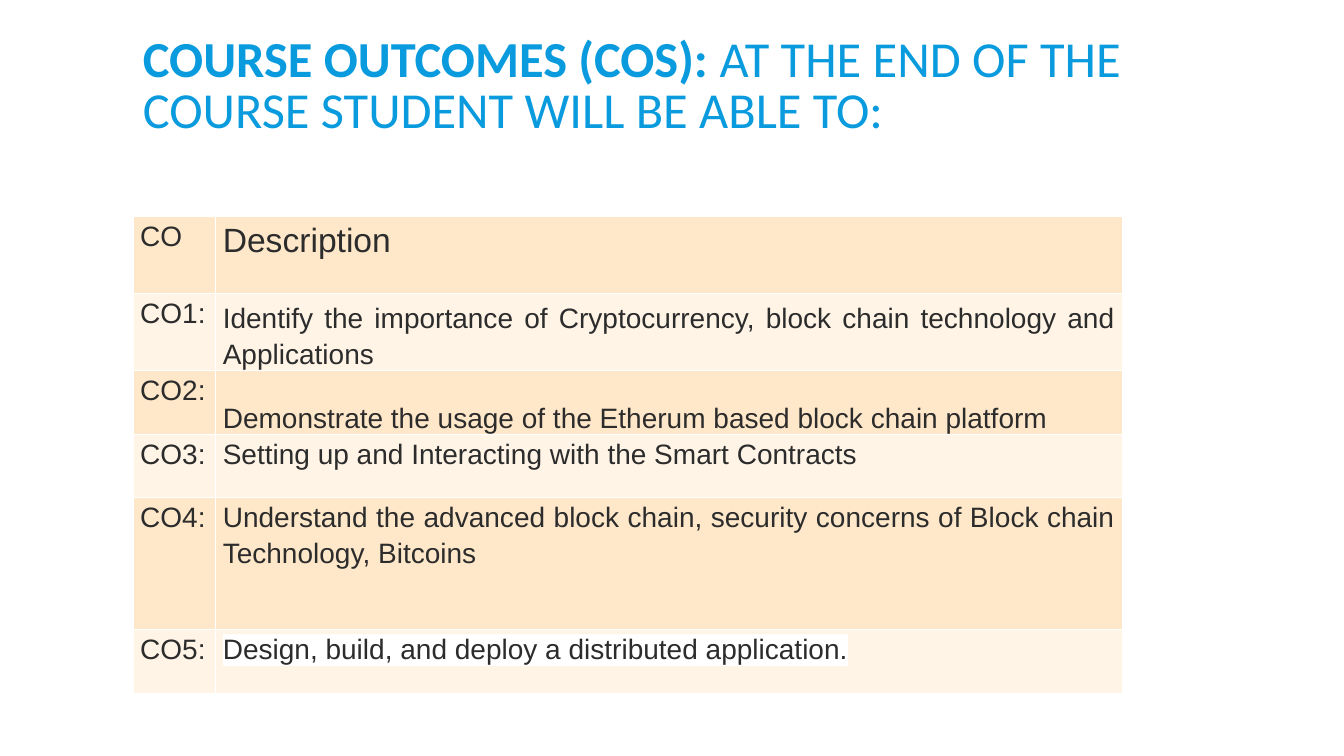
from dataclasses import dataclass

from lxml import etree
from pptx import Presentation
from pptx.dml.color import RGBColor
from pptx.enum.text import MSO_ANCHOR, PP_ALIGN
from pptx.oxml.ns import qn
from pptx.util import Inches, Pt

TOP, BOTTOM = MSO_ANCHOR.TOP, MSO_ANCHOR.BOTTOM
LEFT, JUSTIFY = PP_ALIGN.LEFT, PP_ALIGN.JUSTIFY

TITLE = [
    ("COURSE OUTCOMES (COS): ", True),
    ("AT THE END OF THE COURSE STUDENT WILL BE ABLE TO:", False),
]
HEADER = ("CO", "Description")
OUTCOMES = [
    ("Identify the importance of Cryptocurrency, block chain technology and Applications", BOTTOM),
    ("Demonstrate the usage of the Etherum based block chain platform", BOTTOM),
    ("Setting up and Interacting with the Smart Contracts", TOP),
    ("Understand the advanced block chain, security concerns of Block chain Technology, Bitcoins", TOP),
    ("Design, build, and deploy a distributed application.", TOP),
]
HIGHLIGHTED = len(OUTCOMES)
SLIDE_SIZE = (13.33, 7.5)
MARGIN = 1.32
TITLE_TOP, TITLE_WIDTH, TITLE_HEIGHT = 0.31, 10.7, 1.65
TABLE_TOP = 2.15
COLUMNS = (0.82, 8.99)
ROWS = (0.76, 0.63, 0.63, 0.63, 1.31, 0.63)
CELL_INSET = 0.07


@dataclass(frozen=True)
class Theme:
    title_font: str = "Calibri"
    body_font: str = "Arial"
    title_color: str = "099BDD"
    text_color: str = "2C2C2C"
    white: str = "FFFFFF"
    bands: tuple = ("FFE8CA", "FFF4E6")
    title_size: int = 36
    header_size: int = 24
    body_size: int = 20
    border: int = 1


THEME = Theme()


def style(font, name, size, color):
    font.name = name
    font.size = Pt(size)
    font.color.rgb = RGBColor.from_string(color)


def add_color(parent, tag, color):
    holder = etree.SubElement(parent, qn(tag))
    etree.SubElement(holder, qn("a:srgbClr"), val=color)


def add_borders(cell):
    properties = cell._tc.get_or_add_tcPr()
    for side in ("L", "R", "T", "B"):
        line = etree.SubElement(properties, qn(f"a:ln{side}"), w=str(Pt(THEME.border)))
        add_color(line, "a:solidFill", THEME.white)


def add_title(page):
    box = page.shapes.add_textbox(
        Inches(MARGIN), Inches(TITLE_TOP), Inches(TITLE_WIDTH), Inches(TITLE_HEIGHT))
    frame = box.text_frame
    frame.word_wrap = True
    frame.vertical_anchor = TOP
    para = frame.paragraphs[0]
    para.line_spacing = 0.85
    style(para.font, THEME.title_font, THEME.title_size, THEME.title_color)
    for text, bold in TITLE:
        span = para.add_run()
        span.text = text
        span.font.bold = bold


def fill_cell(cell, text, band, size, align, anchor, highlighted):
    add_borders(cell)
    cell.fill.solid()
    cell.fill.fore_color.rgb = RGBColor.from_string(band)
    cell.margin_left = cell.margin_right = Inches(CELL_INSET)
    cell.margin_top = cell.margin_bottom = 0
    cell.vertical_anchor = anchor
    para = cell.text_frame.paragraphs[0]
    para.alignment = align
    para.line_spacing = 1.15
    style(para.font, THEME.body_font, size, THEME.text_color)
    span = para.add_run()
    span.text = text
    if highlighted:
        add_color(span._r.get_or_add_rPr(), "a:highlight", THEME.white)


def add_outcomes(page):
    table = page.shapes.add_table(
        len(ROWS), len(COLUMNS), Inches(MARGIN), Inches(TABLE_TOP),
        Inches(sum(COLUMNS)), Inches(sum(ROWS))).table
    for column, width in zip(table.columns, COLUMNS):
        column.width = Inches(width)
    for row, height in zip(table.rows, ROWS):
        row.height = Inches(height)

    entries = [(*HEADER, TOP)]
    entries += [(f"CO{n}:", text, anchor) for n, (text, anchor) in enumerate(OUTCOMES, 1)]
    for index, (code, text, anchor) in enumerate(entries):
        band = THEME.bands[index % 2]
        size = THEME.body_size if index else THEME.header_size
        align = JUSTIFY if index else LEFT
        fill_cell(table.cell(index, 0), code, band, THEME.body_size, LEFT, TOP, False)
        fill_cell(table.cell(index, 1), text, band, size, align, anchor, index == HIGHLIGHTED)


def main():
    deck = Presentation()
    deck.slide_width, deck.slide_height = map(Inches, SLIDE_SIZE)
    page = deck.slides.add_slide(deck.slide_layouts[6])
    add_title(page)
    add_outcomes(page)
    deck.save("out.pptx")


if __name__ == "__main__":
    main()
